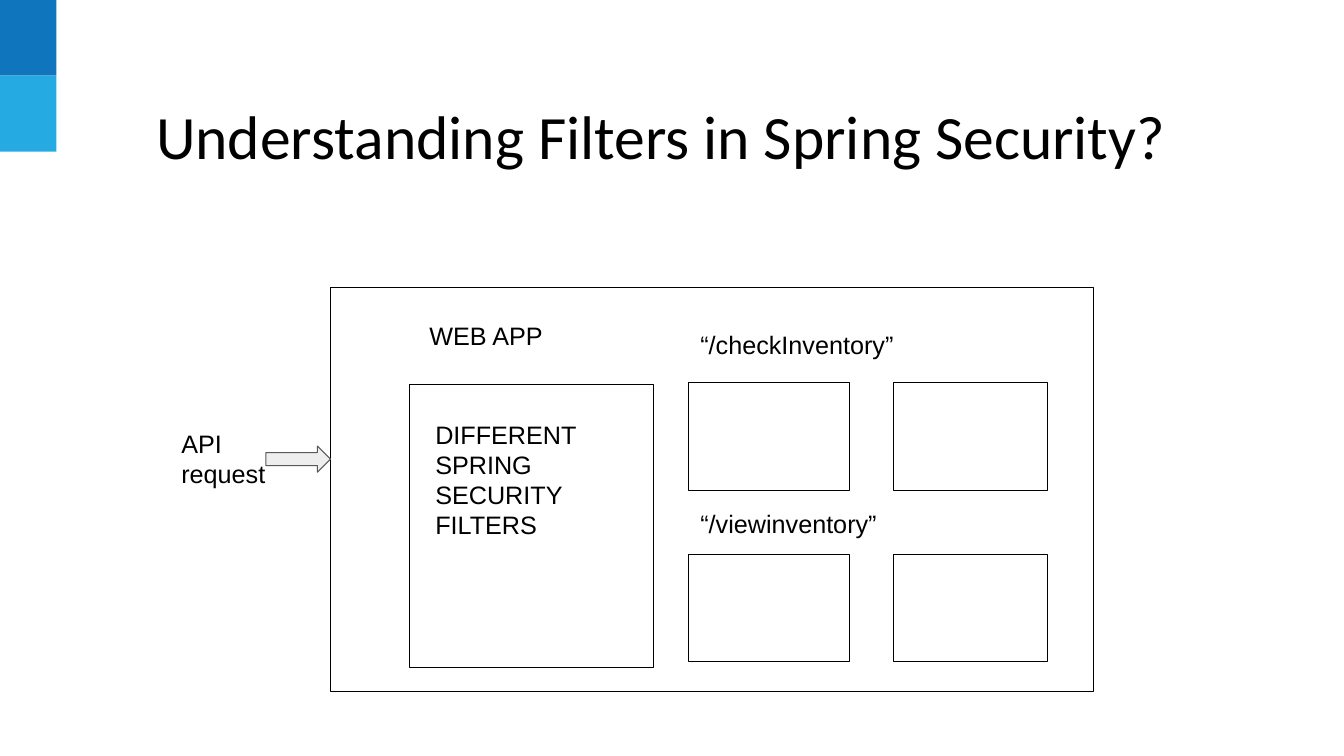
"""Build the slide on filters in Spring Security."""
from pptx import Presentation
from pptx import util as u
from pptx.dml.color import RGBColor
from pptx.enum import shapes, text


def color(hex_string):
    """Turn a hex string into a colour."""
    return RGBColor.from_string(hex_string)


def add_block(slide, left, top, width, height, fill="FFFFFF", line="000000",
              kind=shapes.MSO_SHAPE.RECTANGLE):
    """Add a filled shape, lengths in centimetres, with an optional outline."""
    shape = slide.shapes.add_shape(kind, u.Cm(left), u.Cm(top), u.Cm(width), u.Cm(height))
    shape.shadow.inherit = False
    shape.fill.solid()
    shape.fill.fore_color.rgb = color(fill)
    if line:
        shape.line.color.rgb = color(line)
        shape.line.width = u.Pt(0.75)
    else:
        shape.line.fill.background()
    return shape


def add_run(paragraph, words, size, font):
    """Add one black run to a paragraph."""
    run = paragraph.add_run()
    run.text = words
    run.font.size = u.Pt(size)
    run.font.name = font
    run.font.color.rgb = color("000000")


def add_label(slide, left, top, width, height, lines):
    """Add a text box with one paragraph for each line."""
    shape = slide.shapes.add_textbox(u.Cm(left), u.Cm(top), u.Cm(width), u.Cm(height))
    frame = shape.text_frame
    frame.word_wrap = True
    frame.margin_left = frame.margin_right = u.Cm(0.25)
    frame.margin_top = frame.margin_bottom = u.Cm(0.25)
    for index, words in enumerate(lines):
        paragraph = frame.add_paragraph() if index else frame.paragraphs[0]
        add_run(paragraph, words, 18, "Arial")


def add_corner(slide, left, top, width, height):
    """Stack the two blue corner blocks in the box."""
    for index, fill in enumerate(("0F75BD", "25AAE2")):
        add_block(slide, left, top + index * height / 2, width, height / 2, fill, None)


def add_title(slide, left, top, width, height):
    """Move and format the title placeholder."""
    title = slide.shapes.title
    title.left, title.top = u.Cm(left), u.Cm(top)
    title.width, title.height = u.Cm(width), u.Cm(height)
    frame = title.text_frame
    frame.auto_size = text.MSO_AUTO_SIZE.NONE
    frame.word_wrap = True
    frame.vertical_anchor = text.MSO_ANCHOR.TOP
    frame.margin_top = 0
    paragraph = frame.paragraphs[0]
    paragraph.alignment = text.PP_ALIGN.LEFT
    add_run(paragraph, "Understanding Filters in Spring Security?", 44, "Calibri")


def add_filters(slide, left, top, width, height):
    """Draw the box of security filters."""
    add_block(slide, left, top, width, height)
    add_label(slide, left + 0.41, top + 0.61, 5.33, 3.58,
              ("DIFFERENT", "SPRING", "SECURITY", "FILTERS"))


def add_endpoint(slide, left, top, width, height, address):
    """Draw an address above its pair of boxes."""
    add_label(slide, left + 0.05, top, width, 1.27, (address,))
    box_height = 2.7
    box_top = top + height - box_height
    for offset, box_width in ((0, 4.06), (5.18, 3.86)):
        add_block(slide, left + offset, box_top, box_width, box_height)


def add_web_app(slide, left, top, width, height):
    """Draw the web app with its filters and endpoints."""
    add_block(slide, left, top, width, height)
    add_label(slide, left + 2.24, top + 0.58, 3.86, 1.27, ("WEB APP",))
    add_filters(slide, left + 1.98, top + 2.46, 6.17, 7.11)
    add_endpoint(slide, left + 9.02, top + 0.81, 9.04, 4.3, "“/checkInventory”")
    add_endpoint(slide, left + 9.02, top + 5.33, 9.04, 4.1, "“/viewinventory”")


def add_request(slide, left, top, width, height):
    """Draw the request label and the arrow that ends at the right of the box."""
    arrow_width, arrow_height = 1.63, 0.66
    add_label(slide, left, top, 3.07, height, ("API", "request"))
    add_block(slide, left + width - arrow_width, top + (height - arrow_height) / 2,
              arrow_width, arrow_height, "EEEEEE", "595959", shapes.MSO_SHAPE.RIGHT_ARROW)


def main():
    """Build and save the presentation."""
    presentation = Presentation()
    presentation.slide_width, presentation.slide_height = u.Cm(33.87), u.Cm(19.05)
    slide = presentation.slides.add_slide(presentation.slide_layouts[5])
    add_corner(slide, 0, 0, 1.42, 3.82)
    add_title(slide, 3.68, 2.46, 28.5, 3.63)
    add_web_app(slide, 8.33, 7.24, 19.23, 10.19)
    add_request(slide, 4.32, 10.54, 4.01, 2.06)
    presentation.save("out.pptx")


if __name__ == "__main__":
    main()
